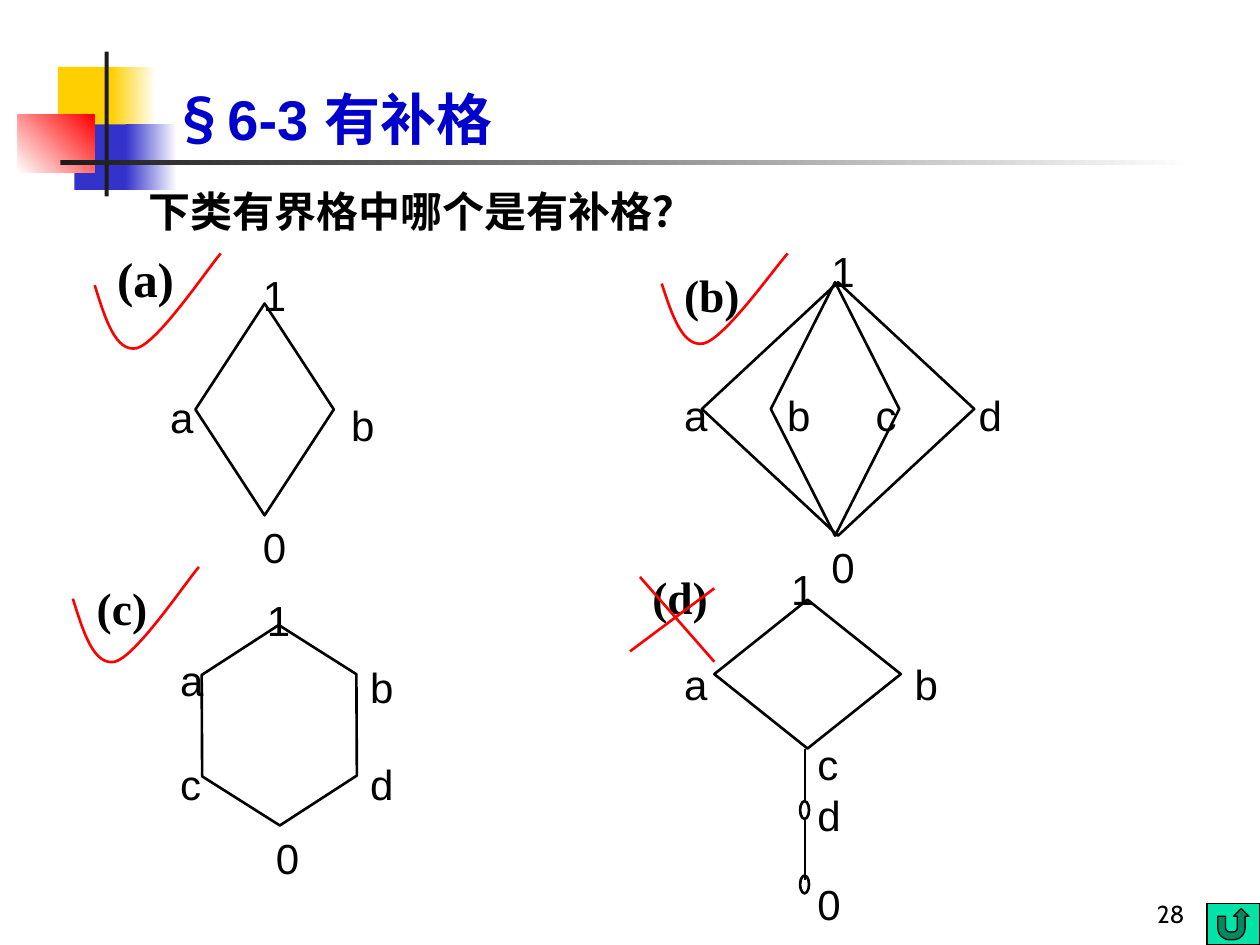
from dataclasses import dataclass
from lxml import etree
from pptx import Presentation
from pptx import util as u
from pptx.dml import color as col
from pptx.enum import shapes as sh, text as tx
from pptx.oxml import ns


@dataclass
class Theme:
    gold: str = "FFCF01"
    blue: str = "3333CC"
    red: str = "FF0000"
    white: str = "FFFFFF"
    dark: str = "1C1C1C"
    ink: str = "000000"
    head: str = "0000CC"
    green: str = "00E4A8"
    sans: str = "Arial"
    serif: str = "Times New Roman"
    han: str = "Noto Sans CJK SC"
    num: str = "Cabin"
    title: int = 32
    big: int = 28
    tag: int = 26
    text: int = 24
    small: int = 14


th = Theme()
rgb = col.RGBColor.from_string
kind = sh.MSO_SHAPE


def draw(home, form, box, fill=None, line=None, wide=1.5):
    item = home.add_shape(form, *map(u.Cm, box))
    item.shadow.inherit = False
    if fill:
        item.fill.solid()
        item.fill.fore_color.rgb = rgb(fill)
    else:
        item.fill.background()
    if line:
        item.line.color.rgb = rgb(line)
        item.line.width = u.Pt(wide)
    else:
        item.line.fill.background()
    return item


def write(home, words, box, size, face=th.sans, bold=False):
    item = home.add_textbox(*map(u.Cm, box))
    frame = item.text_frame
    frame.word_wrap = True
    frame.text = words
    run = frame.paragraphs[0].runs[0]
    run.font.name, run.font.size, run.font.bold = face, u.Pt(size), bold
    run.font.color.rgb = rgb(th.ink)
    etree.SubElement(run._r.get_or_add_rPr(), ns.qn("a:ea"), typeface=th.han)
    return frame


deck = Presentation()
deck.slide_width, deck.slide_height = u.Cm(25.4), u.Cm(19.05)
slide = deck.slides.add_slide(deck.slide_layouts[5])
art = slide.shapes

bars = [
    ((1.17, 1.35, 1.22, 1.32), th.gold, None, 0),
    ((2.24, 1.35, 0.91, 1.32), th.gold, th.white, 0),
    ((1.5, 2.51, 1.17, 1.32), th.blue, None, 0),
    ((2.54, 2.51, 1.02, 1.32), th.blue, th.white, 0),
    ((0.36, 2.31, 1.55, 1.17), th.white, th.red, 45),
    ((2.11, 1.04, 0.08, 2.92), th.dark, None, 0),
    ((1.22, 3.23, 22.86, 0.1), th.dark, th.white, 0),
]
for box, first, last, angle in bars:
    bar = draw(art, kind.RECTANGLE, box, first)
    if last:
        bar.fill.gradient()
        bar.fill.gradient_angle = angle
        for stop, hue, at in zip(bar.fill.gradient_stops, (first, last), (0, 1)):
            stop.color.rgb = rgb(hue)
            stop.position = at

title = art.title
title.left, title.top, title.width, title.height = map(u.Cm, (3.2, 0, 21.64, 3.18))
frame = title.text_frame
frame.auto_size = tx.MSO_AUTO_SIZE.NONE
frame.vertical_anchor = tx.MSO_ANCHOR.BOTTOM
para = frame.paragraphs[0]
para.alignment = tx.PP_ALIGN.LEFT
for words, face in [("§", th.han), ("6-3 ", th.sans), ("有补格", th.han)]:
    run = para.add_run()
    run.text = words
    run.font.name, run.font.size, run.font.bold = face, u.Pt(th.title), True
    run.font.color.rgb = rgb(th.head)
    etree.SubElement(run._r.get_or_add_rPr(), ns.qn("a:ea"), typeface=th.han)

write(art, "下类有界格中哪个是有补格？", (2.74, 3.61, 13.13, 1.27), th.text, bold=True)

nets = [
    ([(kind.DIAMOND, (3.94, 6.12, 2.79, 4.27))], 0.79,
     [("1", 5.05, 5.31), ("a", 3.18, 7.77), ("b", 6.83, 7.92), ("0", 5.05, 10.39)]),
    ([(kind.DIAMOND, (14.15, 5.69, 5.49, 5.11)),
      (kind.DIAMOND, (15.54, 5.69, 2.59, 5.11))], 1.04,
     [("1", 16.51, 4.83), ("0", 16.51, 10.8), ("a", 13.54, 7.72),
      ("b", 15.62, 7.72), ("c", 17.4, 7.72), ("d", 19.48, 7.72)]),
    ([(kind.HEXAGON, (3.61, 13.06, 4.04, 3.12))], 1.04,
     [("1", 5.13, 11.86), ("a", 3.38, 13.06), ("b", 7.21, 13.21),
      ("c", 3.38, 15.16), ("d", 7.21, 15.16), ("0", 5.31, 16.66)]),
    ([(kind.DIAMOND, (14.4, 12.09, 3.76, 3)),
      (kind.OVAL, (16.13, 16.15, 0.18, 0.36)),
      (kind.OVAL, (16.13, 17.65, 0.18, 0.36))], 1.04,
     [("1", 15.7, 11.23), ("a", 13.54, 13.16), ("b", 18.19, 13.16),
      ("c", 16.23, 14.76), ("d", 16.23, 15.8), ("0", 16.23, 17.58)]),
]
for forms, wide, marks in nets:
    net = art.add_group_shape().shapes
    for form, box in forms:
        item = draw(net, form, box, line=th.ink)
        if form == kind.HEXAGON:
            item.rotation = 269.7
            item.adjustments[0] = 0.32
    for mark, x, y in marks:
        write(net, mark, (x, y, wide, 1.27), th.text)

tags = [("(a)", 2.11, 4.88, th.big), ("(b)", 13.54, 5.26, th.tag),
        ("(c)", 1.7, 11.56, th.tag), ("(d)", 12.9, 11.35, th.tag)]
for tag, x, y, size in tags:
    write(art, tag, (x, y, 2.54, 1.4), size, th.serif, True)

curves = [[(0, 0.64), (0.21, 1.31), (0.42, 2), (0.85, 1.91)],
          [(0.85, 1.91), (1.27, 1.8), (2.24, 0.36), (2.54, 0)]]
steps = 16
dots = []
for curve in curves:
    for step in range(steps + 1):
        t = step / steps
        parts = ((1 - t) ** 3, 3 * t * (1 - t) ** 2, 3 * t * t * (1 - t), t ** 3)
        dots.append([sum(p * dot[axis] for p, dot in zip(parts, curve)) for axis in (0, 1)])
for x, y, scale in [(1.91, 5.11, 1), (13.34, 5.11, 0.95), (1.47, 11.43, 1)]:
    spots = [(u.Cm(x + dx), u.Cm(y + dy * scale)) for dx, dy in dots]
    pen = art.build_freeform(*spots[0])
    pen.add_line_segments(spots[1:], close=False)
    tick = pen.convert_to_shape()
    tick.shadow.inherit = False
    tick.fill.background()
    tick.line.color.rgb = rgb(th.red)
    tick.line.width = u.Pt(1.5)

cross = art.add_group_shape().shapes
lines = [
    (net, th.ink, (16.23, 15.09, 16.23, 16.15)),
    (net, th.ink, (16.23, 16.51, 16.23, 17.73)),
    (cross, th.red, (12.9, 11.63, 14.4, 13.34)),
    (cross, th.red, (14.4, 11.86, 12.7, 13.13)),
]
for home, hue, ends in lines:
    line = home.add_connector(sh.MSO_CONNECTOR.STRAIGHT, *map(u.Cm, ends))
    line.line.color.rgb = rgb(hue)
    line.line.width = u.Pt(1.5)
    etree.SubElement(line._element.spPr, ns.qn("a:effectLst"))

page = write(art, "28", (18.85, 17.58, 5.28, 1.27), th.small, th.num)
page.vertical_anchor = tx.MSO_ANCHOR.BOTTOM
page.paragraphs[0].alignment = tx.PP_ALIGN.RIGHT

draw(art, kind.ACTION_BUTTON_RETURN, (24.33, 18.21, 1.07, 0.84), th.green, th.ink, 0.75)

deck.save("out.pptx")
